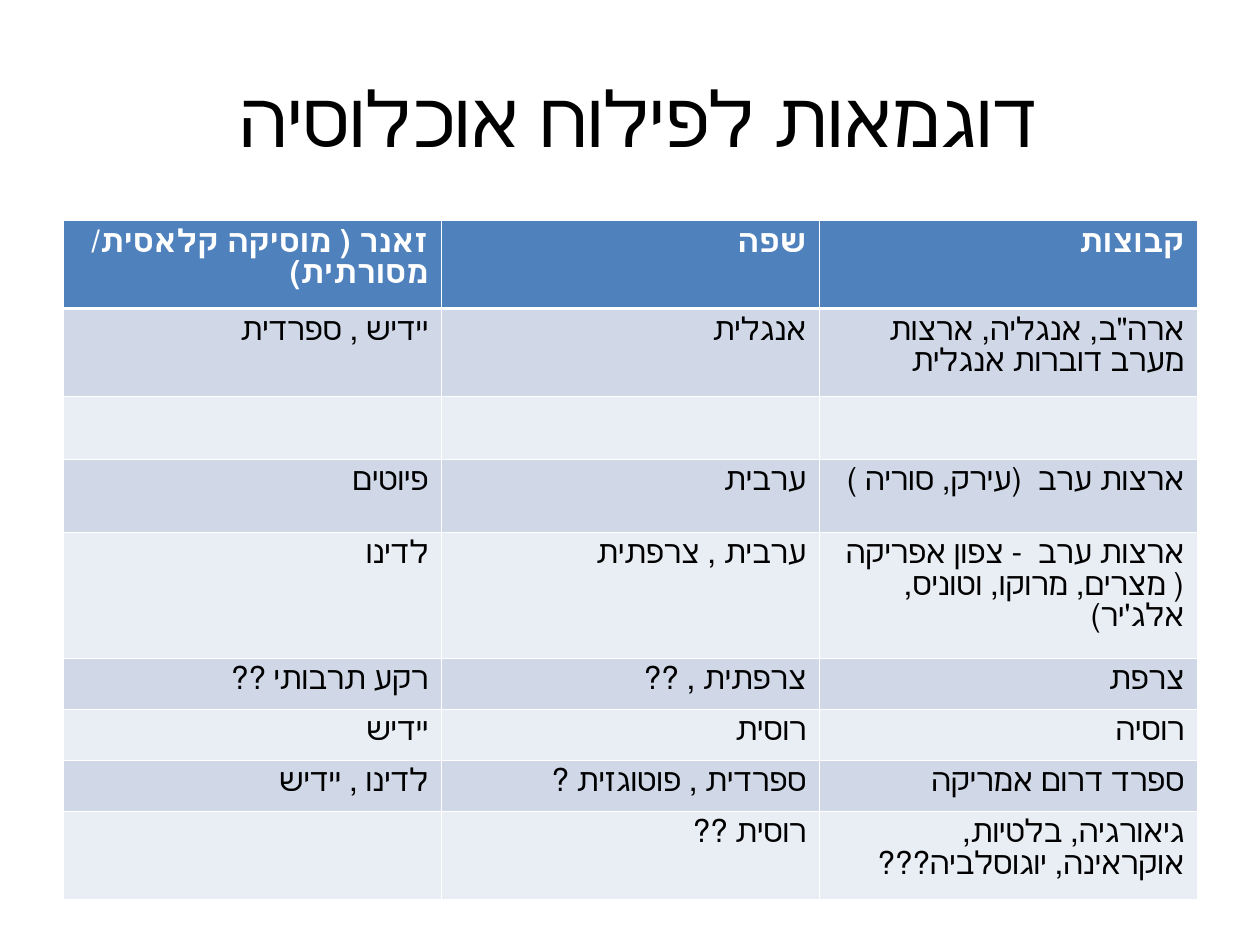
from lxml.etree import SubElement
from pptx import Presentation
from pptx.dml.color import RGBColor
from pptx.enum.lang import MSO_LANGUAGE_ID
from pptx.enum.text import MSO_ANCHOR, PP_ALIGN
from pptx.oxml.ns import qn
from pptx.util import Pt

COLORS = {"black": "000000", "white": "FFFFFF", "header": "4F81BD",
          "dark_band": "D0D8E8", "light_band": "E9EDF4"}
FONT = "Calibri"
TITLE = "דוגמאות לפילוח אוכלוסיה "
TITLE_BOX = (36, 21.6, 648, 90)
TABLE_BOX = (36, 126, 648, 388)
TITLE_FORMAT = {"size": Pt(44), "bold": False}
HEADER_FORMAT = {"size": Pt(18), "bold": True}
BODY_FORMAT = {"size": Pt(18), "bold": False}
THIN, THICK = 0.45, 1.47

ROWS = [
    (50.3, ["זאנר ( מוסיקה קלאסית/ מסורתית)", "שפה", "קבוצות"]),
    (50.3, ["יידיש , ספרדית ", "אנגלית", 'ארה"ב, אנגליה, ארצות מערב דוברות אנגלית']),
    (35.7, ["", "", ""]),
    (41.8, ["פיוטים", "ערבית", "ארצות ערב  (עירק, סוריה )"]),
    (72, ["לדינו", "ערבית , צרפתית",
          "ארצות ערב  - צפון אפריקה ( מצרים, מרוקו, וטוניס, אלג'יר) "]),
    (29.2, ["רקע תרבותי ??", "צרפתית , ??", "צרפת "]),
    (29.2, ["יידיש", "רוסית ", "רוסיה"]),
    (29.2, ["לדינו , יידיש ", "ספרדית , פוטוגזית ?", "ספרד דרום אמריקה"]),
    (50.3, ["", "רוסית ?? ", "גיאורגיה, בלטיות, אוקראינה, יוגוסלביה???"]),
]


def rgb(name):
    return RGBColor.from_string(COLORS[name])


def write_hebrew(frame, text, formats, color, alignment):
    para = frame.paragraphs[0]
    para.alignment = alignment
    para._p.get_or_add_pPr().set("rtl", "1")
    if not text:
        para.font.size = formats["size"]
        return
    span = para.add_run()
    span.text = text
    settings = {"name": FONT, "language_id": MSO_LANGUAGE_ID.HEBREW, **formats}
    for name, value in settings.items():
        setattr(span.font, name, value)
    span.font.color.rgb = rgb(color)


def add_borders(cell, widths):
    properties = cell._tc.get_or_add_tcPr()
    for side, width in widths.items():
        line = SubElement(properties, qn(f"a:ln{side}"), w=str(int(Pt(width))))
        fill = SubElement(line, qn("a:solidFill"))
        SubElement(fill, qn("a:srgbClr"), val=COLORS["white"])


def place_title(page, box):
    title = page.shapes.title
    for name, value in zip(("left", "top", "width", "height"), box):
        setattr(title, name, Pt(value))
    title.text_frame.vertical_anchor = MSO_ANCHOR.MIDDLE
    write_hebrew(title.text_frame, TITLE, TITLE_FORMAT, "black", PP_ALIGN.CENTER)


def place_table(page, box):
    column_count = len(ROWS[0][1])
    table = page.shapes.add_table(len(ROWS), column_count, *map(Pt, box)).table
    for column in table.columns:
        column.width = Pt(box[2] / column_count)
    for index, (height, texts) in enumerate(ROWS):
        table.rows[index].height = Pt(height)
        is_header = index == 0
        band = "header" if is_header else "dark_band" if index % 2 else "light_band"
        formats = HEADER_FORMAT if is_header else BODY_FORMAT
        color = "white" if is_header else "black"
        widths = {"L": THIN, "R": THIN, "T": THICK if index == 1 else THIN,
                  "B": THICK if is_header else THIN}
        for cell, text in zip(table.rows[index].cells, texts):
            add_borders(cell, widths)
            cell.fill.solid()
            cell.fill.fore_color.rgb = rgb(band)
            write_hebrew(cell.text_frame, text, formats, color, PP_ALIGN.RIGHT)


def main():
    deck = Presentation()
    deck.slide_width, deck.slide_height = Pt(720), Pt(540)
    page = deck.slides.add_slide(deck.slide_layouts[5])
    place_title(page, TITLE_BOX)
    place_table(page, TABLE_BOX)
    deck.save("out.pptx")


if __name__ == "__main__":
    main()
